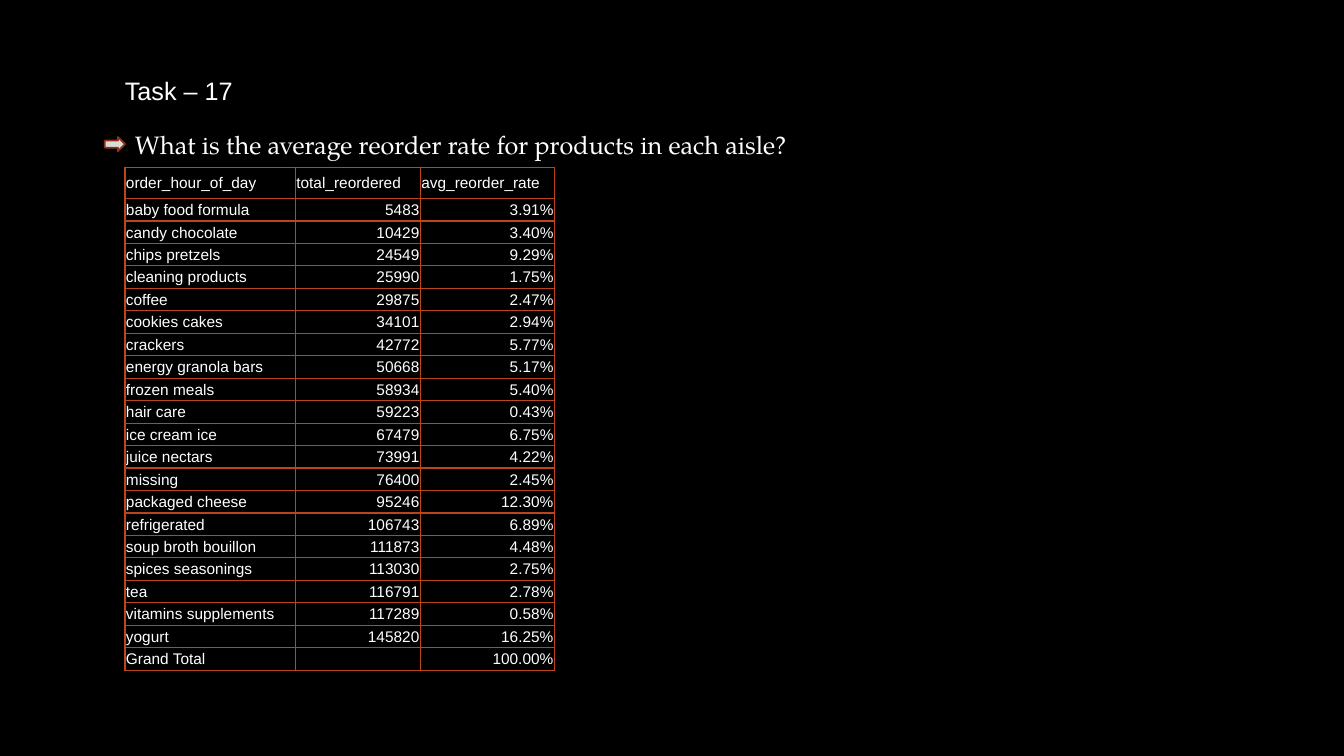
from lxml.etree import SubElement
from pptx import Presentation
from pptx.dml.color import RGBColor
from pptx.enum.shapes import MSO_SHAPE
from pptx.enum.text import MSO_ANCHOR, PP_ALIGN
from pptx.oxml.ns import qn
from pptx.util import Pt

COLORS = {
    "background": "000000",
    "text": "FFFFFF",
    "border": "BC451B",
    "arrow_fill": "DADADA",
    "arrow_line": "8B3314",
}
HEADER = ("order_hour_of_day", "total_reordered", "avg_reorder_rate")
AISLES = [
    ("baby food formula", "5483", "3.91%"),
    ("candy chocolate", "10429", "3.40%"),
    ("chips pretzels", "24549", "9.29%"),
    ("cleaning products", "25990", "1.75%"),
    ("coffee", "29875", "2.47%"),
    ("cookies cakes", "34101", "2.94%"),
    ("crackers", "42772", "5.77%"),
    ("energy granola bars", "50668", "5.17%"),
    ("frozen meals", "58934", "5.40%"),
    ("hair care", "59223", "0.43%"),
    ("ice cream ice", "67479", "6.75%"),
    ("juice nectars", "73991", "4.22%"),
    ("missing", "76400", "2.45%"),
    ("packaged cheese", "95246", "12.30%"),
    ("refrigerated", "106743", "6.89%"),
    ("soup broth bouillon", "111873", "4.48%"),
    ("spices seasonings", "113030", "2.75%"),
    ("tea", "116791", "2.78%"),
    ("vitamins supplements", "117289", "0.58%"),
    ("yogurt", "145820", "16.25%"),
    ("Grand Total", "", "100.00%"),
]
COLUMN_WIDTHS = (121.7, 89.3, 95.8)
HEADER_HEIGHT = 22.3
CELL_FONT_SIZE = 11


def color(name):
    return RGBColor.from_string(COLORS[name])


def style_paragraph(paragraph, font_name, size):
    paragraph.font.name = font_name
    paragraph.font.size = Pt(size)
    paragraph.font.color.rgb = color("text")


def add_text(slide, text, font_name, left, top, width, height):
    box = slide.shapes.add_textbox(Pt(left), Pt(top), Pt(width), Pt(height))
    box.text_frame.word_wrap = True
    paragraph = box.text_frame.paragraphs[0]
    paragraph.text = text
    style_paragraph(paragraph, font_name, 18)


def add_question(slide, text, left, top, width, height):
    """Place an arrow marker with the question to its right."""
    arrow_width, arrow_height = 14.4, 10.1
    arrow = slide.shapes.add_shape(
        MSO_SHAPE.RIGHT_ARROW, Pt(left), Pt(top + (height - arrow_height) / 2),
        Pt(arrow_width), Pt(arrow_height))
    arrow.shadow.inherit = False
    arrow.fill.solid()
    arrow.fill.fore_color.rgb = color("arrow_fill")
    arrow.line.color.rgb = color("arrow_line")
    arrow.line.width = Pt(1.25)
    add_text(slide, text, "TeX Gyre Pagella",
             left + arrow_width, top, width - arrow_width, height)


def add_borders(cell):
    properties = cell._tc.get_or_add_tcPr()
    for position, side in enumerate(("lnL", "lnR", "lnT", "lnB")):
        line = properties.makeelement(qn(f"a:{side}"), {"w": str(Pt(1))})
        fill = SubElement(line, qn("a:solidFill"))
        SubElement(fill, qn("a:srgbClr"), val=COLORS["border"])
        properties.insert(position, line)


def fill_cell(cell, text, alignment):
    cell.fill.background()
    add_borders(cell)
    cell.vertical_anchor = MSO_ANCHOR.MIDDLE
    cell.margin_left = cell.margin_right = cell.margin_top = Pt(0.7)
    cell.margin_bottom = Pt(0)
    paragraph = cell.text_frame.paragraphs[0]
    paragraph.alignment = alignment
    style_paragraph(paragraph, "Arial", CELL_FONT_SIZE)
    if text:
        paragraph.text = text
    else:
        # An empty cell takes its line height from the paragraph end mark.
        SubElement(paragraph._p, qn("a:endParaRPr"), sz=str(CELL_FONT_SIZE * 100))


def add_aisle_table(slide, left, top, height):
    rows = [HEADER, *AISLES]
    table = slide.shapes.add_table(
        len(rows), len(HEADER), Pt(left), Pt(top),
        Pt(sum(COLUMN_WIDTHS)), Pt(height)).table
    table.horz_banding = False
    table.first_row = False
    for column, width in zip(table.columns, COLUMN_WIDTHS):
        column.width = Pt(width)
    row_height = (height - HEADER_HEIGHT) / len(AISLES)
    for row_index, values in enumerate(rows):
        table.rows[row_index].height = Pt(row_height if row_index else HEADER_HEIGHT)
        for column_index, value in enumerate(values):
            is_number = row_index > 0 and column_index > 0
            fill_cell(table.cell(row_index, column_index), value,
                      PP_ALIGN.RIGHT if is_number else PP_ALIGN.LEFT)


def main():
    presentation = Presentation()
    presentation.slide_width, presentation.slide_height = Pt(960), Pt(540)
    slide = presentation.slides.add_slide(presentation.slide_layouts[6])
    slide.background.fill.solid()
    slide.background.fill.fore_color.rgb = color("background")
    add_text(slide, "Task – 17", "Arial", 82.1, 50, 165, 29)
    add_question(slide, "What is the average reorder rate for products in each aisle?",
                 74.9, 88.5, 547, 29)
    add_aisle_table(slide, 89.3, 119.5, 359.3)
    presentation.save("out.pptx")


if __name__ == "__main__":
    main()
